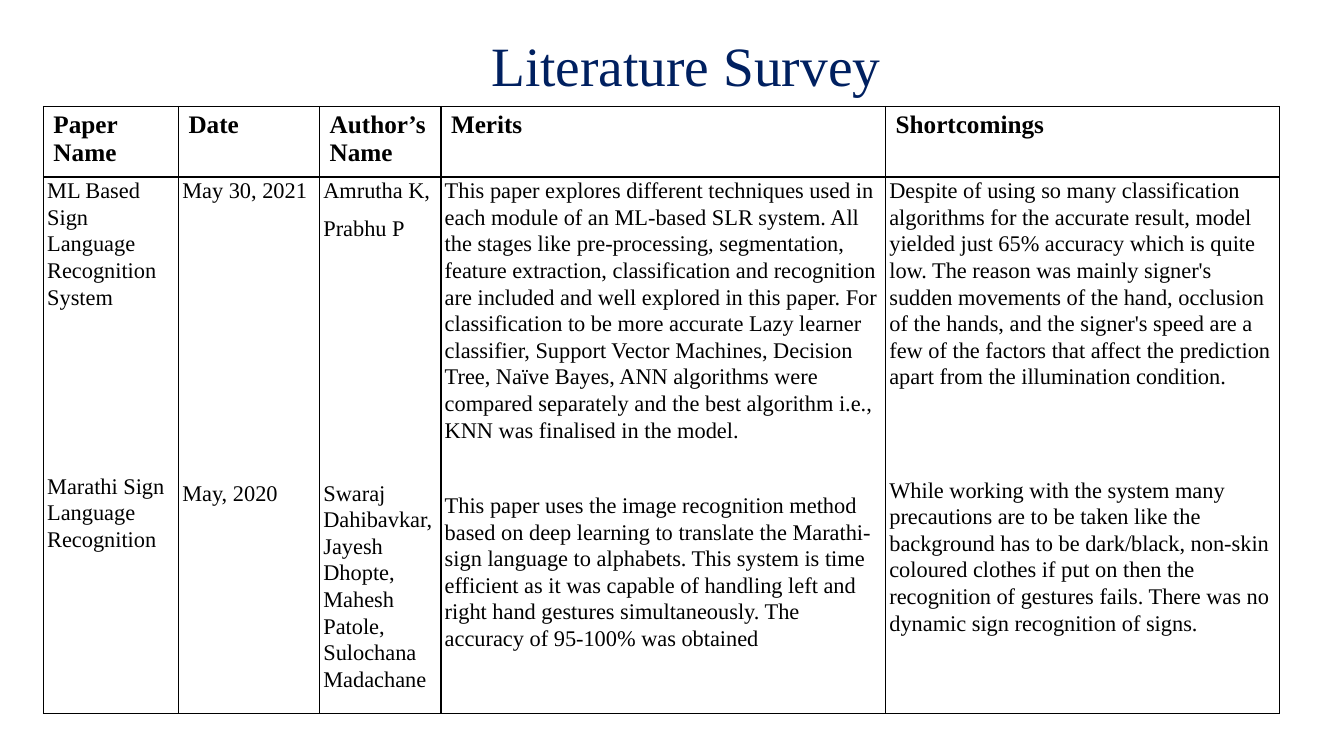
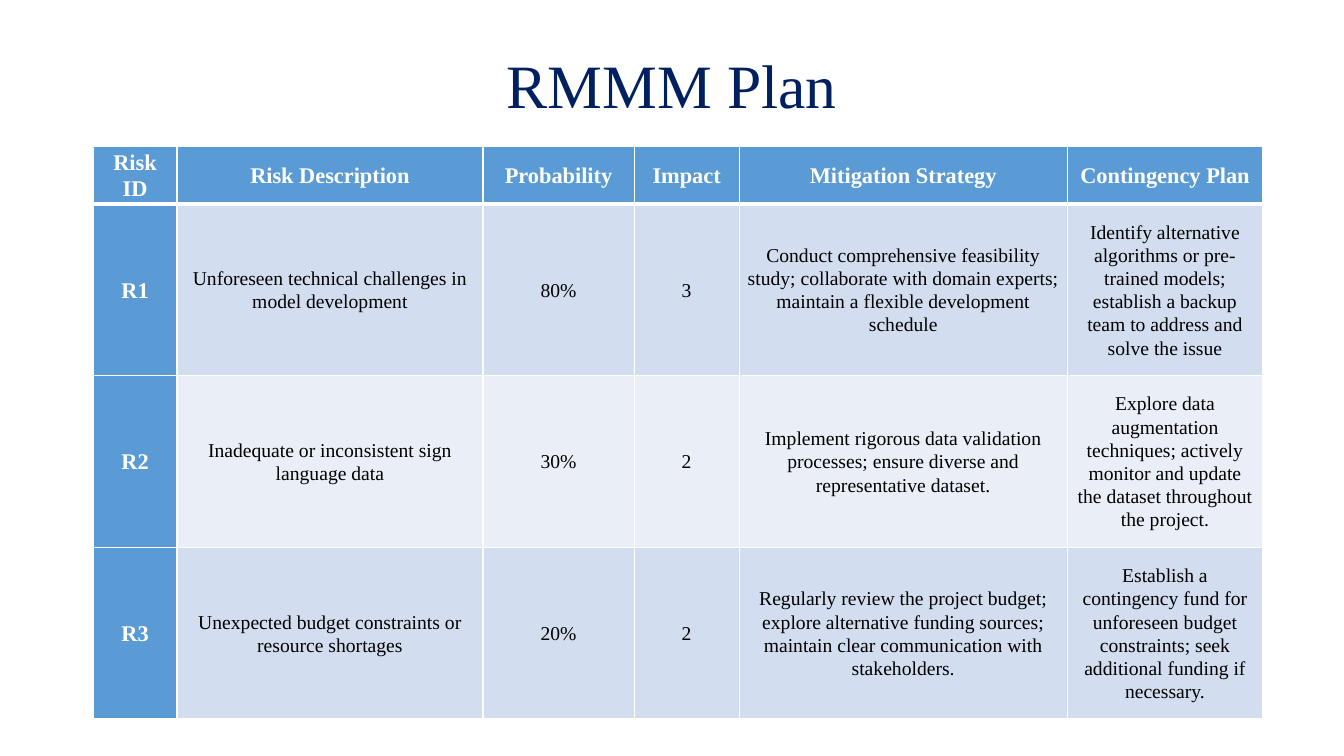
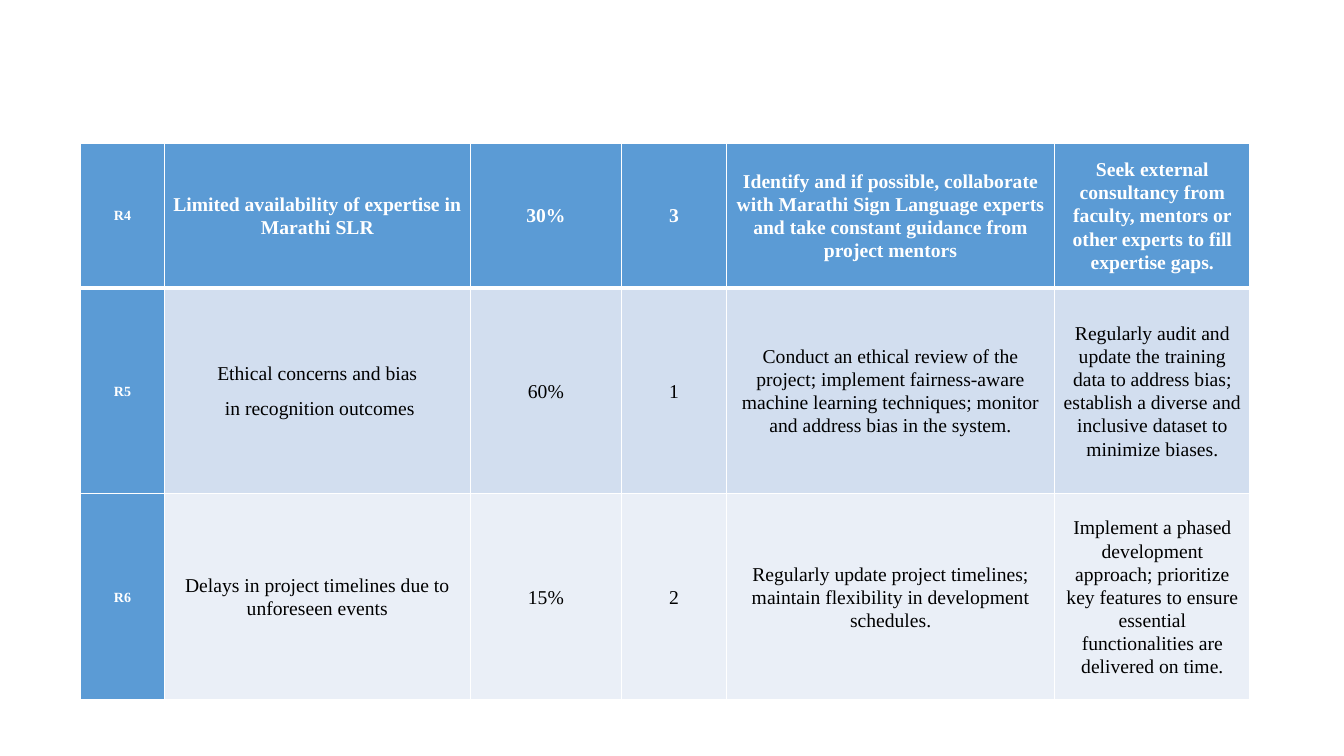
from dataclasses import dataclass
from typing import NamedTuple

from lxml.etree import SubElement
from pptx import Presentation
from pptx.dml.color import RGBColor
from pptx.enum.text import MSO_ANCHOR, PP_ALIGN
from pptx.oxml.ns import qn
from pptx.util import Pt

FONT = "Times New Roman"
NAVY = RGBColor(0x00, 0x20, 0x60)
BLACK = RGBColor(0x00, 0x00, 0x00)
WHITE = RGBColor(0xFF, 0xFF, 0xFF)
BLUE = RGBColor(0x5B, 0x9B, 0xD5)
BAND_DARK = RGBColor(0xD2, 0xDE, 0xEF)
BAND_LIGHT = RGBColor(0xEA, 0xEF, 0xF7)

PARA_GAP = 8
LINE_STEP = 27
RISK_COLS = (60, 218.5, 108, 75, 234.5, 139.5)


class Para(NamedTuple):
    text: str
    skipped_lines: int = 0


@dataclass(frozen=True)
class CellStyle:
    size: float
    color: RGBColor = BLACK
    bold: bool = False
    fill: RGBColor | None = None
    border: RGBColor = WHITE
    top: float = 1
    bottom: float = 1
    margin_x: float = 5
    margin_y: float = 0
    align: PP_ALIGN = PP_ALIGN.CENTER
    anchor: MSO_ANCHOR = MSO_ANCHOR.MIDDLE
    line_spacing: float = 1.07


@dataclass(frozen=True)
class RiskTable:
    left: float
    top: float
    heights: tuple[float, ...]
    id_size: float
    head_size: float
    rows: list[list]


SURVEY_HEAD = CellStyle(18, bold=True, border=BLACK, margin_x=7.2, margin_y=3.6,
                        align=PP_ALIGN.LEFT, anchor=MSO_ANCHOR.TOP, line_spacing=1)
SURVEY_BODY = CellStyle(16, border=BLACK, margin_x=2.7,
                        align=PP_ALIGN.LEFT, anchor=MSO_ANCHOR.TOP)

SURVEY_ROWS = [
    ["Paper Name", "Date", "Author’s Name", "Merits", "Shortcomings"],
    [
        [Para("ML Based Sign Language Recognition System"),
         Para("Marathi Sign Language Recognition", 4)],
        [Para("May 30, 2021"), Para("May, 2020", 7)],
        [Para("Amrutha K,"), Para("Prabhu P"),
         Para("Swaraj Dahibavkar, Jayesh Dhopte, Mahesh Patole, Sulochana Madachane", 6)],
        [Para("This paper explores different techniques used in each module of an ML-based "
              "SLR system. All the stages like pre-processing, segmentation, feature "
              "extraction, classification and recognition are included and well explored in "
              "this paper. For classification to be more accurate Lazy learner classifier, "
              "Support Vector Machines, Decision Tree, Naïve Bayes, ANN algorithms were "
              "compared separately and the best algorithm i.e., KNN was finalised in the "
              "model."),
         Para("This paper uses the image recognition method based on deep learning to "
              "translate the Marathi-sign language to alphabets. This system is time "
              "efficient as it was capable of handling left and right hand gestures "
              "simultaneously. The accuracy of 95-100% was obtained", 1)],
        [Para("Despite of using so many classification algorithms for the accurate result, "
              "model yielded just 65% accuracy which is quite low. The reason was mainly "
              "signer's sudden movements of the hand, occlusion of the hands, and the "
              "signer's speed are a few of the factors that affect the prediction apart from "
              "the illumination condition."),
         Para("While working with the system many precautions are to be taken like the "
              "background has to be dark/black, non-skin coloured clothes if put on then the "
              "recognition of gestures fails. There was no dynamic sign recognition of "
              "signs.", 2)],
    ],
]

FIRST_RISKS = RiskTable(66.5, 104.5, (27, 122.7, 122.7, 122.7), 16, 16, [
    ["Risk ID", "Risk Description", "Probability", "Impact", "Mitigation Strategy",
     "Contingency Plan"],
    ["R1", "Unforeseen technical challenges in model development", "80%", "3",
     "Conduct comprehensive feasibility study; collaborate with domain experts; maintain a "
     "flexible development schedule",
     "Identify alternative algorithms or pre-trained models; establish a backup team to "
     "address and solve the issue"],
    ["R2", "Inadequate or inconsistent sign language data", "30%", "2",
     "Implement rigorous data validation processes; ensure diverse and representative "
     "dataset.",
     "Explore data augmentation techniques; actively monitor and update the dataset "
     "throughout the project."],
    ["R3", "Unexpected budget constraints or resource shortages", "20%", "2",
     "Regularly review the project budget; explore alternative funding sources; maintain "
     "clear communication with stakeholders.",
     "Establish a contingency fund for unforeseen budget constraints; seek additional "
     "funding if necessary."],
])

MORE_RISKS = RiskTable(57.5, 102.5, (103, 147.3, 147.3), 10, 14, [
    ["R4", "Limited availability of expertise in Marathi SLR", "30%", "3",
     "Identify and if possible, collaborate with Marathi Sign Language experts and take "
     "constant guidance from project mentors",
     "Seek external consultancy from faculty, mentors or other experts to fill expertise "
     "gaps."],
    ["R5", [Para("Ethical concerns and bias"), Para(" in recognition outcomes")], "60%", "1",
     "Conduct an ethical review of the project; implement fairness-aware machine learning "
     "techniques; monitor and address bias in the system.",
     "Regularly audit and update the training data to address bias; establish a diverse and "
     "inclusive dataset to minimize biases."],
    ["R6", "Delays in project timelines due to unforeseen events", "15%", "2",
     "Regularly update project timelines; maintain flexibility in development schedules.",
     "Implement a phased development approach; prioritize key features to ensure essential "
     "functionalities are delivered on time."],
])


def add_text(p, text: str, *, size: float, color: RGBColor, bold: bool = False,
             align: PP_ALIGN = PP_ALIGN.CENTER, line_spacing: float = 1,
             space_before: float = 0) -> None:
    p.alignment = align
    p.line_spacing = line_spacing
    p.space_before = Pt(space_before)
    r = p.add_run()
    r.text = text
    r.font.name = FONT
    r.font.size = Pt(size)
    r.font.bold = bold
    r.font.color.rgb = color


def add_title(s, text: str, *, width: float, height: float, size: float) -> None:
    sp = s.shapes.add_textbox(Pt(66), Pt(28.8), Pt(width), Pt(height))
    tf = sp.text_frame
    tf.word_wrap = True
    tf.vertical_anchor = MSO_ANCHOR.MIDDLE
    add_text(tf.paragraphs[0], text, size=size, color=NAVY, line_spacing=0.9)


def set_borders(cell, style: CellStyle) -> None:
    tc_pr = cell._tc.get_or_add_tcPr()
    sides = {"a:lnL": 1, "a:lnR": 1, "a:lnT": style.top, "a:lnB": style.bottom}
    for i, (tag, width) in enumerate(sides.items()):
        ln = SubElement(tc_pr, qn(tag), w=str(Pt(width)))
        fill = SubElement(ln, qn("a:solidFill"))
        SubElement(fill, qn("a:srgbClr"), val=str(style.border))
        tc_pr.insert(i, ln)


def fill_cell(cell, content: str | list[Para], style: CellStyle) -> None:
    cell.margin_left = cell.margin_right = Pt(style.margin_x)
    cell.margin_top = cell.margin_bottom = Pt(style.margin_y)
    cell.vertical_anchor = style.anchor
    if style.fill is None:
        cell.fill.background()
    else:
        cell.fill.solid()
        cell.fill.fore_color.rgb = style.fill
    set_borders(cell, style)
    tf = cell.text_frame
    paras = [Para(content)] if isinstance(content, str) else content
    for i, para in enumerate(paras):
        p = tf.add_paragraph() if i else tf.paragraphs[0]
        gap = PARA_GAP + LINE_STEP * para.skipped_lines if i else 0
        add_text(p, para.text, size=style.size, color=style.color, bold=style.bold,
                 align=style.align, line_spacing=style.line_spacing, space_before=gap)


def add_grid(s, left: float, top: float, cols: tuple[float, ...],
             heights: tuple[float, ...], rows: list[list], style_of) -> None:
    tbl = s.shapes.add_table(len(heights), len(cols), Pt(left), Pt(top),
                             Pt(sum(cols)), Pt(sum(heights))).table
    tbl.first_row = tbl.horz_banding = False
    for col, width in zip(tbl.columns, cols):
        col.width = Pt(width)
    for row, height in zip(tbl.rows, heights):
        row.height = Pt(height)
    for i, contents in enumerate(rows):
        for j, content in enumerate(contents):
            fill_cell(tbl.cell(i, j), content, style_of(i, j))


def add_risks(s, risks: RiskTable) -> None:
    def style_of(i: int, j: int) -> CellStyle:
        top, bottom = (3 if i == 1 else 1), (3 if i == 0 else 1)
        if i == 0 or j == 0:
            size = risks.id_size if j == 0 else risks.head_size
            return CellStyle(size, WHITE, True, BLUE, top=top, bottom=bottom)
        band = BAND_DARK if i % 2 else BAND_LIGHT
        return CellStyle(14, fill=band, top=top, bottom=bottom)

    add_grid(s, risks.left, risks.top, RISK_COLS, risks.heights, risks.rows, style_of)


def main() -> None:
    prs = Presentation()
    prs.slide_width, prs.slide_height = Pt(960), Pt(540)
    survey, plan, plan_rest = (prs.slides.add_slide(prs.slide_layouts[6]) for _ in range(3))

    add_title(survey, "Literature Survey", width=848, height=41, size=39.6)
    add_grid(survey, 31, 76, (96.5, 100.8, 86.7, 317.6, 281.4), (48.2, 367.5), SURVEY_ROWS,
             lambda i, j: SURVEY_BODY if i else SURVEY_HEAD)

    add_title(plan, "RMMM Plan", width=828, height=69, size=44)
    add_risks(plan, FIRST_RISKS)
    add_risks(plan_rest, MORE_RISKS)
    prs.save("out.pptx")


if __name__ == "__main__":
    main()
